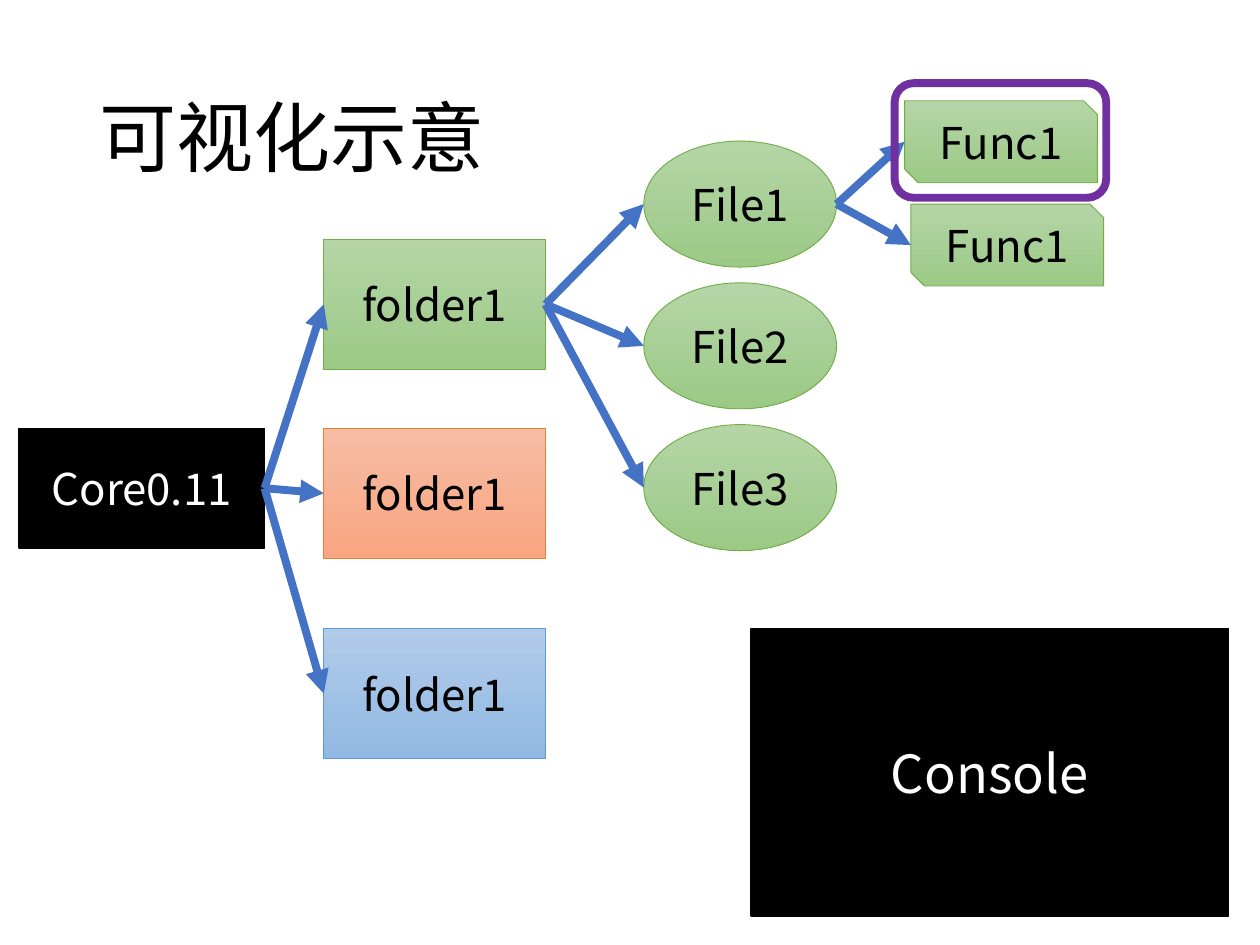
"""Build a slide that sketches a source tree next to a console."""
from lxml.etree import SubElement
from pptx import Presentation
from pptx.dml.color import RGBColor
from pptx.enum.shapes import MSO_CONNECTOR, MSO_SHAPE
from pptx.enum.text import MSO_ANCHOR, PP_ALIGN
from pptx.oxml.ns import qn
from pptx.util import Inches, Pt

FONT = "Noto Sans CJK SC"
BLACK = RGBColor(0x00, 0x00, 0x00)
WHITE = RGBColor(0xFF, 0xFF, 0xFF)
ARROW_BLUE = RGBColor(0x44, 0x72, 0xC4)
PURPLE = RGBColor(0x70, 0x30, 0xA0)
GREEN = (RGBColor(0xB5, 0xD5, 0xA7), RGBColor(0x9C, 0xCA, 0x86), RGBColor(0x70, 0xAD, 0x47))
ORANGE = (RGBColor(0xF7, 0xBD, 0xA4), RGBColor(0xF8, 0xA5, 0x81), RGBColor(0xED, 0x7D, 0x31))
BLUE = (RGBColor(0xB1, 0xCB, 0xE9), RGBColor(0x92, 0xB9, 0xE4), RGBColor(0x5B, 0x9B, 0xD5))

TITLE = "可视化示意"
ROOT = ("Core0.11", 0.15, 3.4)
FOLDERS = [("folder1", 1.9, GREEN), ("folder1", 3.4, ORANGE), ("folder1", 4.99, BLUE)]
FILES = ["File1", "File2", "File3"]
FUNCTIONS = [("Func1", 7.18, 0.8), ("Func1", 7.23, 1.62)]
FOLDER_LEFT, FILE_LEFT, FILE_TOP, FILE_PITCH = 2.57, 5.11, 1.12, 1.125
ROOT_SIZE, FOLDER_SIZE, FILE_SIZE, FUNCTION_SIZE = (1.95, 0.95), (1.76, 1.03), (1.53, 1), (1.53, 0.65)
CONSOLE_BOX = (5.96, 4.99, 3.79, 2.28)
HIGHLIGHT_BOX = (7.1, 0.66, 1.68, 0.91)
LEFT_SIDE, RIGHT_SIDE = 1, 3


def style_run(run, size, color):
    run.font.size = Pt(size)
    run.font.name = FONT
    run.font.color.rgb = color
    SubElement(run.font._element, qn("a:ea"), typeface=FONT)


def add_node(slide, kind, text, box, palette=None, size=25):
    shape = slide.shapes.add_shape(kind, *map(Inches, box))
    shape.shadow.inherit = False
    if palette:
        shape.fill.gradient()
        shape.fill.gradient_angle = 270
        for stop, position, color in zip(shape.fill.gradient_stops, (0, 1), palette):
            stop.position = position
            stop.color.rgb = color
    else:
        shape.fill.solid()
        shape.fill.fore_color.rgb = BLACK
    shape.line.color.rgb = palette[2] if palette else BLACK
    shape.line.width = Pt(0.5 if palette else 1)
    shape.text_frame.text = text
    shape.text_frame.word_wrap = True
    shape.text_frame.vertical_anchor = MSO_ANCHOR.MIDDLE
    paragraph = shape.text_frame.paragraphs[0]
    paragraph.alignment = PP_ALIGN.CENTER
    style_run(paragraph.runs[0], size, BLACK if palette else WHITE)
    return shape


def add_arrow(slide, source, target):
    connector = slide.shapes.add_connector(
        MSO_CONNECTOR.STRAIGHT,
        source.left + source.width, source.top + source.height // 2,
        target.left, target.top + target.height // 2)
    if source.auto_shape_type == MSO_SHAPE.RECTANGLE:
        connector.begin_connect(source, RIGHT_SIDE)
    if target.auto_shape_type == MSO_SHAPE.RECTANGLE:
        connector.end_connect(target, LEFT_SIDE)
    connector.line.color.rgb = ARROW_BLUE
    connector.line.width = Pt(4.5)
    SubElement(connector.line._get_or_add_ln(), qn("a:tailEnd"), type="triangle")
    SubElement(connector._element.spPr, qn("a:effectLst"))


def add_title(slide):
    title = slide.shapes.title
    title.left, title.top, title.width, title.height = map(Inches, (0.69, 0.4, 8.63, 1.45))
    title.text_frame.text = TITLE
    title.text_frame.vertical_anchor = MSO_ANCHOR.MIDDLE
    paragraph = title.text_frame.paragraphs[0]
    paragraph.alignment = PP_ALIGN.LEFT
    paragraph.line_spacing = 0.9
    style_run(paragraph.runs[0], 44, BLACK)


def add_highlight(slide):
    frame = slide.shapes.add_shape(MSO_SHAPE.ROUNDED_RECTANGLE, *map(Inches, HIGHLIGHT_BOX))
    frame.shadow.inherit = False
    frame.fill.background()
    frame.line.color.rgb = PURPLE
    frame.line.width = Pt(4.5)


def main():
    presentation = Presentation()
    presentation.slide_width, presentation.slide_height = Inches(10), Inches(7.5)
    slide = presentation.slides.add_slide(presentation.slide_layouts[5])
    add_title(slide)

    name, left, top = ROOT
    root = add_node(slide, MSO_SHAPE.RECTANGLE, name, (left, top, *ROOT_SIZE))
    folders = [add_node(slide, MSO_SHAPE.RECTANGLE, name, (FOLDER_LEFT, top, *FOLDER_SIZE), palette)
               for name, top, palette in FOLDERS]
    files = [add_node(slide, MSO_SHAPE.OVAL, name,
                      (FILE_LEFT, FILE_TOP + row * FILE_PITCH, *FILE_SIZE), GREEN)
             for row, name in enumerate(FILES)]
    functions = [add_node(slide, MSO_SHAPE.SNIP_2_DIAG_RECTANGLE, name,
                          (left, top, *FUNCTION_SIZE), GREEN)
                 for name, left, top in FUNCTIONS]

    for source, targets in ((root, folders), (folders[0], files), (files[0], functions)):
        for target in targets:
            add_arrow(slide, source, target)

    add_node(slide, MSO_SHAPE.RECTANGLE, "Console", CONSOLE_BOX, size=30)
    add_highlight(slide)
    presentation.save("out.pptx")


if __name__ == "__main__":
    main()
